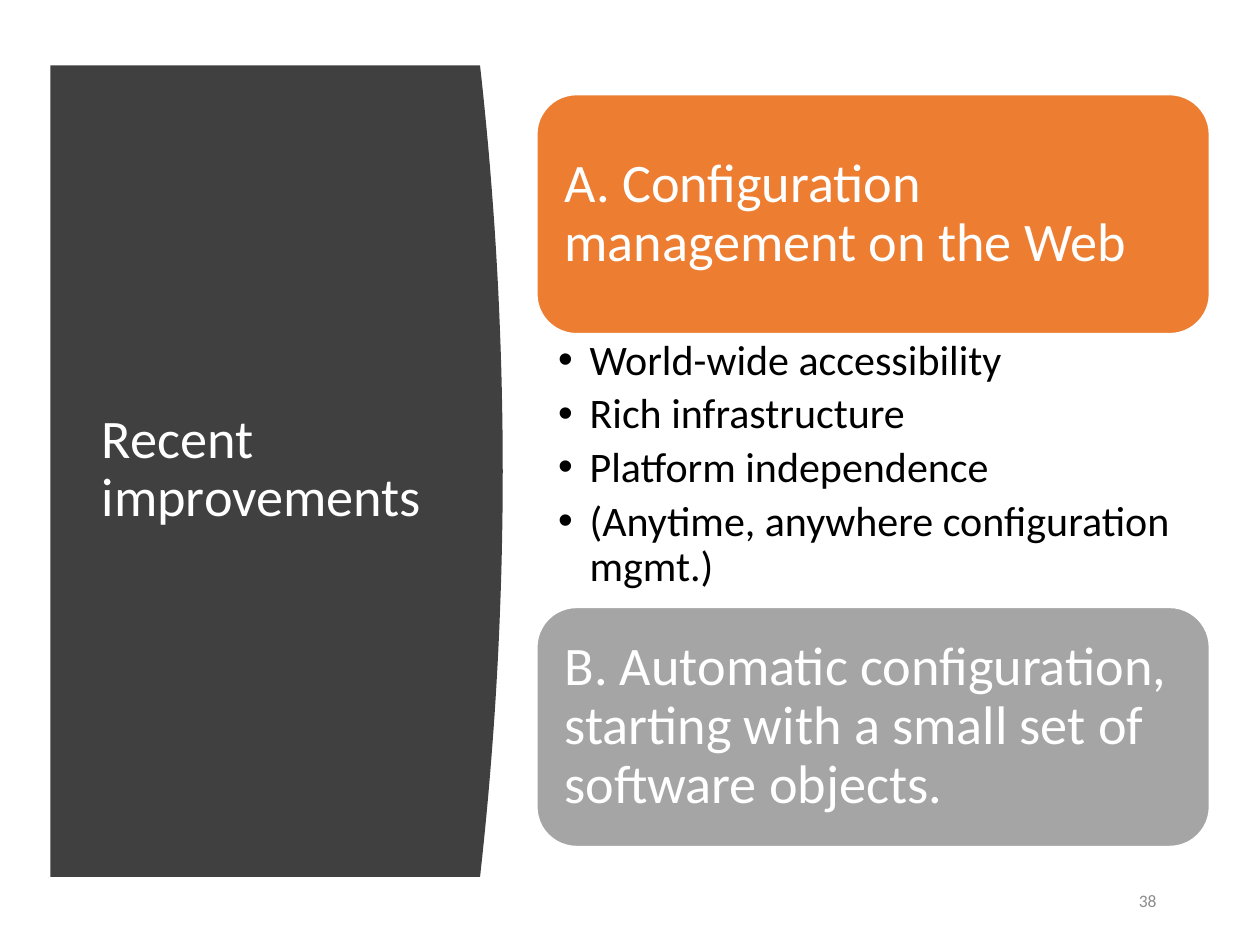
from dataclasses import dataclass

from lxml import etree
from pptx import Presentation
from pptx import util as u
from pptx.dml.color import RGBColor
from pptx.enum import shapes, text
from pptx.oxml.ns import qn

WHITE = "FFFFFF"
CARD_LEFT, CARD_WIDTH, CARD_HEIGHT = 306.72, 384.48, 136.8


@dataclass
class Card:
    top: float
    fill: str
    wording: str


CARDS = [
    Card(54, "ED7D31", "A. Configuration management on the Web"),
    Card(347.04, "A5A5A5",
         "B. Automatic configuration, starting with a small set of software objects."),
]
BENEFITS = [
    "World-wide accessibility",
    "Rich infrastructure",
    "Platform independence",
    "(Anytime, anywhere configuration mgmt.)",
]


def paint(color_format, color: str) -> None:
    color_format.rgb = RGBColor.from_string(color)


def fill_shape(shape, color: str) -> None:
    shape.shadow.inherit = False
    shape.fill.solid()
    paint(shape.fill.fore_color, color)


def add_bullet(para, indent: float) -> None:
    properties = para._p.get_or_add_pPr()
    properties.set("marL", str(u.Pt(indent)))
    properties.set("indent", str(-u.Pt(indent)))
    bullet_font = etree.SubElement(properties, qn("a:buFont"))
    bullet_font.set("typeface", "Arial")
    etree.SubElement(properties, qn("a:buChar")).set("char", "•")


def write_text(box, lines: list[str], *, size: float, color: str,
               insets=(7.2, 3.6, 7.2, 3.6), anchor=text.MSO_ANCHOR.MIDDLE,
               align=text.PP_ALIGN.LEFT, spacing: float = 0.9,
               after: float = 0, bullet_indent: float = 0) -> None:
    frame = box.text_frame
    frame.word_wrap = True
    frame.vertical_anchor = anchor
    (frame.margin_left, frame.margin_top,
     frame.margin_right, frame.margin_bottom) = map(u.Pt, insets)
    for index, line in enumerate(lines):
        para = frame.add_paragraph() if index else frame.paragraphs[0]
        para.alignment = align
        para.line_spacing = spacing
        para.space_after = u.Pt(after)
        if bullet_indent:
            add_bullet(para, bullet_indent)
        span = para.add_run()
        span.text = line
        span.font.name = "Calibri"
        span.font.size = u.Pt(size)
        paint(span.font.color, color)


def add_box(page, left: float, top: float, width: float, height: float):
    return page.shapes.add_textbox(*map(u.Pt, (left, top, width, height)))


def draw_panel(page, left: float = 28.8, edge: float = 274.32, top: float = 37.44,
               bottom: float = 501.12, bulge: float = 12.96, steps: int = 40) -> None:
    curve = []
    for step in range(steps + 1):
        share = step / steps
        x = edge + bulge * (1 - (2 * share - 1) ** 2)
        curve.append((u.Pt(x), u.Pt(top + (bottom - top) * share)))
    builder = page.shapes.build_freeform(u.Pt(left), u.Pt(top))
    builder.add_line_segments(curve + [(u.Pt(left), u.Pt(bottom))], close=True)
    panel = builder.convert_to_shape()
    fill_shape(panel, "404040")
    panel.line.fill.background()


def draw_card(page, card: Card) -> None:
    box = page.shapes.add_shape(
        shapes.MSO_SHAPE.ROUNDED_RECTANGLE,
        *map(u.Pt, (CARD_LEFT, card.top, CARD_WIDTH, CARD_HEIGHT)))
    fill_shape(box, card.fill)
    paint(box.line.color, WHITE)
    box.line.width = u.Pt(1)
    write_text(box, [card.wording], size=31, color=WHITE, insets=(9.3,) * 4)


def main() -> None:
    deck = Presentation()
    deck.slide_width, deck.slide_height = u.Pt(720), u.Pt(540)
    page = deck.slides.add_slide(deck.slide_layouts[6])

    draw_panel(page)
    title = add_box(page, 51.12, 79.92, 201.6, 377.28)
    write_text(title, ["Recent improvements"], size=31, color=WHITE)
    number = add_box(page, 633.6, 500.4, 36.72, 28.8)
    write_text(number, ["38"], size=10, color="8C8C8C", spacing=1,
               insets=(7.2, 3.6, 9.5, 3.6), align=text.PP_ALIGN.RIGHT)

    for card in CARDS:
        draw_card(page, card)
    list_top = CARDS[0].top + CARD_HEIGHT
    benefits = add_box(page, CARD_LEFT, list_top, CARD_WIDTH, CARDS[1].top - list_top)
    write_text(benefits, BENEFITS, size=24, color="000000", after=4.8,
               insets=(12.24, 2.9, 17.3, 2.9), anchor=text.MSO_ANCHOR.TOP,
               bullet_indent=18)
    deck.save("out.pptx")


if __name__ == "__main__":
    main()
